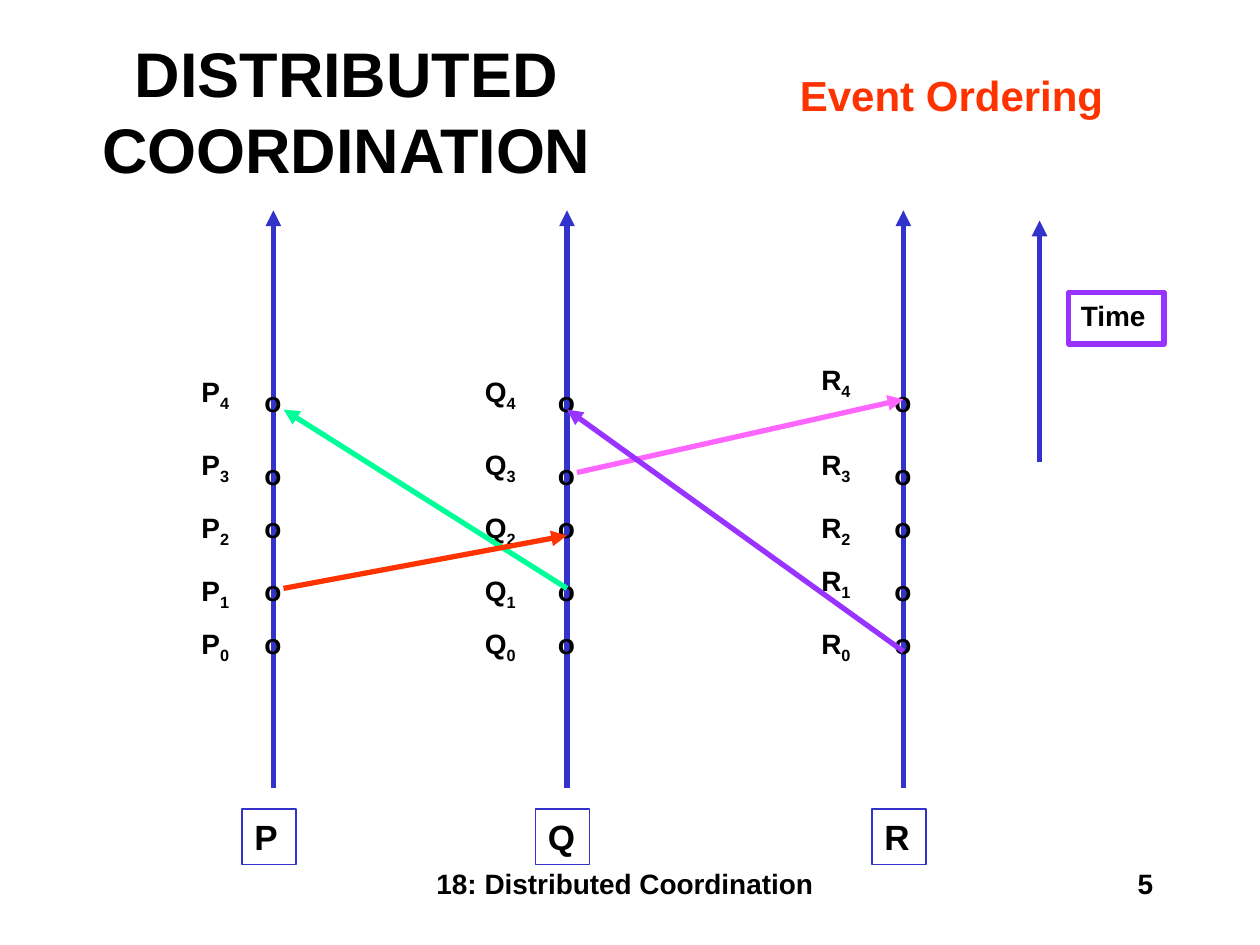
"""Build the event ordering slide with three process timelines and their messages."""
from lxml.etree import SubElement
from pptx import Presentation
from pptx.dml.color import RGBColor
from pptx.enum.shapes import MSO_CONNECTOR, MSO_SHAPE
from pptx.enum.text import MSO_ANCHOR, MSO_AUTO_SIZE, PP_ALIGN
from pptx.oxml.ns import qn
from pptx.util import Inches, Pt

BLACK, BLUE, RED, PURPLE = "000000", "3333CC", "FF3300", "9933FF"
GREEN, PINK = "00FF99", "FF66FF"

HEADINGS = [
    ("18: Distributed Coordination", (3, 6.83, 3.92, 0.5), 16, BLACK, PP_ALIGN.CENTER, MSO_ANCHOR.TOP),
    ("5", (7.17, 6.83, 2.08, 0.5), 16, BLACK, PP_ALIGN.RIGHT, MSO_ANCHOR.TOP),
    ("DISTRIBUTED COORDINATION", (0.25, 0.25, 5, 1.25), 36, BLACK, PP_ALIGN.CENTER, MSO_ANCHOR.MIDDLE),
    ("Event Ordering", (6.25, 0.5, 2.61, 0.5), 24, RED, PP_ALIGN.LEFT, MSO_ANCHOR.TOP),
]
EVENT_TOPS = [4.92, 4.5, 4, 3.58, 3]
PROCESSES = [
    {"name": "P", "axis": 2.17, "label_left": 1.5, "label_width": 0.44,
     "label_tops": [4.92, 4.5, 4, 3.5, 2.92]},
    {"name": "Q", "axis": 4.5, "label_left": 3.75, "label_width": 0.53,
     "label_tops": [4.92, 4.5, 4, 3.5, 2.92]},
    {"name": "R", "axis": 7.17, "label_left": 6.42, "label_width": 0.53,
     "label_tops": [4.92, 4.42, 4, 3.5, 2.83]},
]
MESSAGES = [
    ((4.5, 4.67), (2.25, 3.25), GREEN),
    ((2.25, 4.67), (4.5, 4.25), RED),
    ((4.58, 3.75), (7.17, 3.17), PINK),
    ((7.17, 5.17), (4.5, 3.25), PURPLE),
]
TIME_ARROW = ((8.25, 3.67), (8.25, 1.75), BLUE)
TIME_BOX = (8.48, 2.32, 0.76, 0.41)


def color(value):
    return RGBColor.from_string(value)


def write(shape, text, size, text_color=BLACK, align=PP_ALIGN.LEFT,
          anchor=MSO_ANCHOR.TOP, wrap=True, subscript=""):
    frame = shape.text_frame
    frame.word_wrap = wrap
    frame.auto_size = MSO_AUTO_SIZE.NONE
    frame.vertical_anchor = anchor
    paragraph = frame.paragraphs[0]
    paragraph.alignment = align
    font = paragraph.font
    font.name, font.size, font.bold = "Arial", Pt(size), True
    font.color.rgb = color(text_color)
    paragraph.add_run().text = text
    if subscript:
        run = paragraph.add_run()
        run.text = subscript
        run._r.get_or_add_rPr().set("baseline", "-25000")


def add_text(slide, box, text, size, **options):
    write(slide.shapes.add_textbox(*map(Inches, box)), text, size, **options)


def add_box(slide, box, text, size, line_color, line_width, wrap=True):
    shape = slide.shapes.add_shape(MSO_SHAPE.RECTANGLE, *map(Inches, box))
    shape.shadow.inherit = False
    shape.fill.background()
    shape.line.color.rgb = color(line_color)
    shape.line.width = Pt(line_width)
    write(shape, text, size, wrap=wrap)


def add_arrow(slide, start, end, line_color):
    arrow = slide.shapes.add_connector(MSO_CONNECTOR.STRAIGHT, *map(Inches, start + end))
    arrow.line.color.rgb = color(line_color)
    arrow.line.width = Pt(3)
    SubElement(arrow.line._get_or_add_ln(), qn("a:tailEnd"), type="triangle")
    SubElement(arrow._element.spPr, qn("a:effectLst"))


presentation = Presentation()
presentation.slide_width, presentation.slide_height = Inches(10), Inches(7.5)
slide = presentation.slides.add_slide(presentation.slide_layouts[6])

for text, box, size, text_color, align, anchor in HEADINGS:
    add_text(slide, box, text, size, text_color=text_color, align=align, anchor=anchor)

for process in PROCESSES:
    name, axis = process["name"], process["axis"]
    add_arrow(slide, (axis, 6.25), (axis, 1.67), BLUE)
    for index, (label_top, event_top) in enumerate(zip(process["label_tops"], EVENT_TOPS)):
        label_box = (process["label_left"], label_top, process["label_width"], 0.37)
        add_text(slide, label_box, name, 16, subscript=str(index))
        add_text(slide, (axis - 0.17, event_top, 0.34, 0.37), "o", 16, wrap=False)
    add_box(slide, (axis - 0.25, 6.42, 0.43, 0.44), name, 20, BLUE, 0.75)

for start, end, line_color in MESSAGES + [TIME_ARROW]:
    add_arrow(slide, start, end, line_color)
add_box(slide, TIME_BOX, "Time", 16, PURPLE, 3, wrap=False)

presentation.save("out.pptx")
